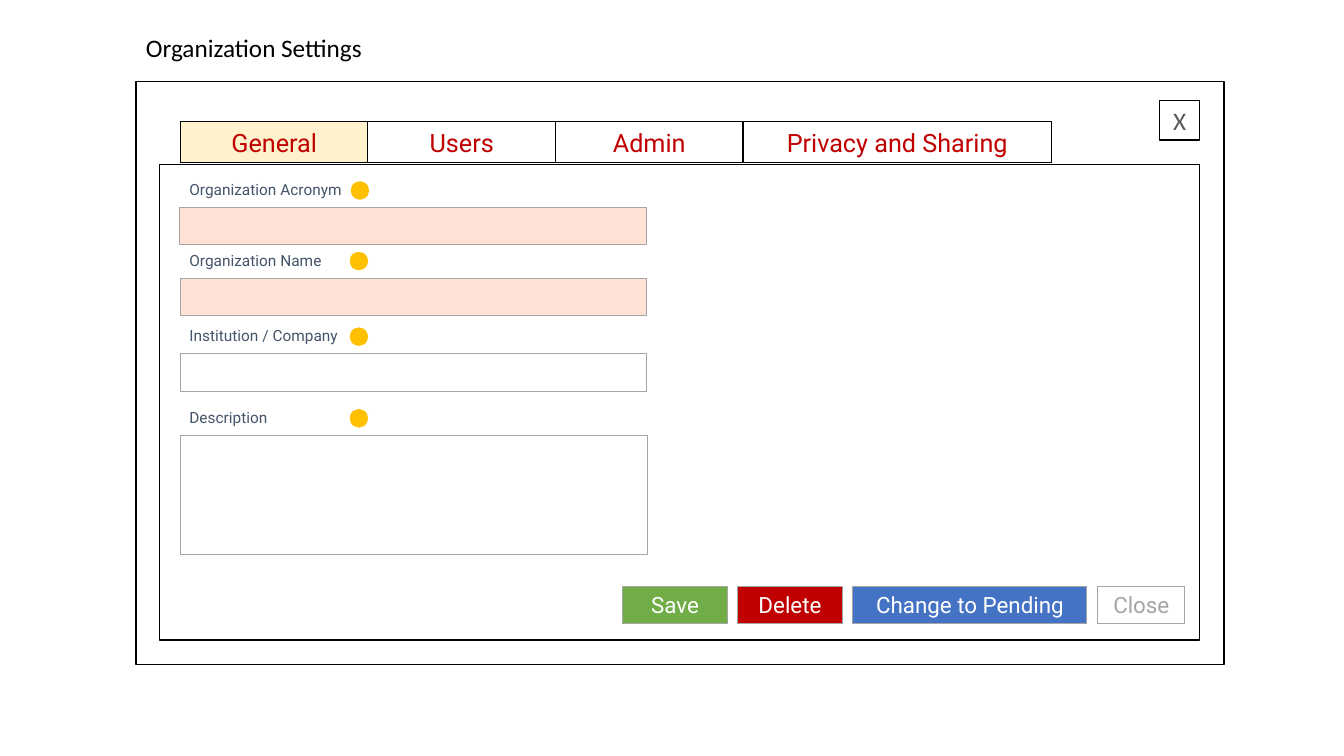
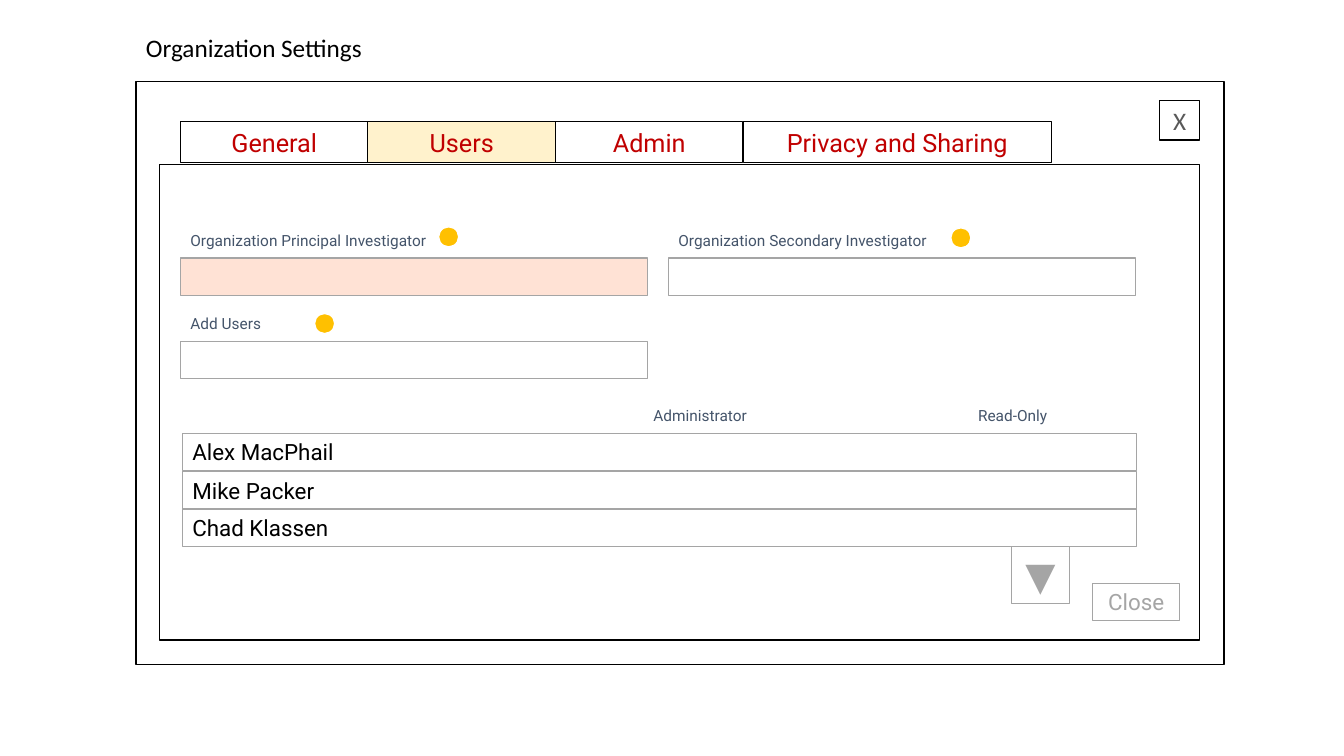
from pptx import Presentation
from pptx import util as u
from pptx.dml.color import RGBColor
from pptx.enum import shapes, text

PX = 9144  # EMU per px, 100 px to the inch

BLACK, WHITE = "000000", "FFFFFF"
GRAY, DARK_GRAY, SLATE = "A5A5A5", "595959", "44546A"
RED, GREEN, BLUE, AMBER = "C00000", "70AD47", "4472C4", "FFC000"
ACTIVE_TAB, REQUIRED = "FFF2CC", "FFE2D5"

FONT, TITLE_FONT = "Roboto", "Calibri"
LEFT, CENTER = text.PP_ALIGN.LEFT, text.PP_ALIGN.CENTER
TOP, MIDDLE = text.MSO_ANCHOR.TOP, text.MSO_ANCHOR.MIDDLE
RECTANGLE, OVAL = shapes.MSO_SHAPE.RECTANGLE, shapes.MSO_SHAPE.OVAL

TABS = [("General", 186), ("Users", 186), ("Admin", 186),
        ("Privacy and Sharing", 306)]
ROW_HEIGHT = 37
LABEL_HEIGHT = 29
LABEL_RISE = 32  # from the top of a label to the top of its input


def color(value):
    return RGBColor.from_string(value)


def box_emu(*lengths):
    return [u.Emu(length * PX) for length in lengths]


def write(shape, wording, size, ink, align=LEFT, anchor=TOP, font=FONT):
    frame = shape.text_frame
    frame.word_wrap = True
    frame.vertical_anchor = anchor
    paragraph = frame.paragraphs[0]
    paragraph.alignment = align
    run = paragraph.add_run()
    run.text = wording
    run.font.name = font
    run.font.size = u.Pt(size)
    run.font.color.rgb = color(ink)


def add_shape(parent, box, fill=None, line=GRAY, weight=0.75, kind=RECTANGLE):
    shape = parent.add_shape(kind, *box_emu(*box))
    shape.shadow.inherit = False
    if fill:
        shape.fill.solid()
        shape.fill.fore_color.rgb = color(fill)
    else:
        shape.fill.background()
    shape.line.color.rgb = color(line)
    shape.line.width = u.Pt(weight)
    return shape


def add_label(parent, box, wording, size=11, ink=SLATE, align=LEFT, font=FONT):
    label = parent.add_textbox(*box_emu(*box))
    write(label, wording, size, ink, align, font=font)


def add_button(slide, left, top, width, wording, fill=None, ink=WHITE):
    button = add_shape(slide.shapes, (left, top, width, ROW_HEIGHT), fill)
    write(button, wording, 16, ink, CENTER)


def add_field(slide, wording, label_at, box, dot_at, fill=None, label_width=267):
    """Group a label, its help dot and its input box."""
    group = slide.shapes.add_group_shape().shapes
    add_shape(group, box, fill)
    add_label(group, (*label_at, label_width, LABEL_HEIGHT), wording)
    add_shape(group, (*dot_at, 20, 20), AMBER, WHITE, 1, OVAL)


def add_dialog(presentation, active_tab):
    """Start a slide with the window, its title, tabs and close box."""
    slide = presentation.slides.add_slide(presentation.slide_layouts[6])
    add_label(slide.shapes, (135, 27, 664, 40), "Organization Settings",
              18, BLACK, font=TITLE_FONT)
    for box in ((135, 81, 1079, 578), (158, 163, 1032, 472)):
        add_shape(slide.shapes, box, line=BLACK, weight=1)
    left = 179
    for name, width in TABS:
        fill = ACTIVE_TAB if name == active_tab else None
        tab = add_shape(slide.shapes, (left, 121, width, 40), fill, BLACK)
        write(tab, name, 18, RED, CENTER, MIDDLE)
        left += width
    close_box = add_shape(slide.shapes, (1150, 100, 40, 39), line=BLACK, weight=1)
    write(close_box, "X", 18, DARK_GRAY, CENTER, MIDDLE, TITLE_FONT)
    return slide


def build_general(presentation):
    slide = add_dialog(presentation, "General")
    # Fields: label, label top, input left, width and height, dot left, fill
    for name, top, left, width, height, dot, fill in (
            ("Organization Acronym", 174, 178, 463, ROW_HEIGHT, 347, REQUIRED),
            ("Organization Name", 244, 179, 462, ROW_HEIGHT, 346, REQUIRED),
            ("Institution / Company", 319, 179, 462, ROW_HEIGHT, 346, None),
            ("Description", 400, 179, 463, 118, 346, None)):
        add_field(slide, name, (178, top), (left, top + LABEL_RISE, width, height),
                  (dot, top + 5), fill)
    # Action buttons
    for left, width, name, fill, ink in (
            (617, 105, "Save", GREEN, WHITE),
            (731, 105, "Delete", RED, WHITE),
            (846, 232, "Change to Pending", BLUE, WHITE),
            (1089, 86, "Close", None, GRAY)):
        add_button(slide, left, 582, width, name, fill, ink)


def build_users(presentation):
    slide = add_dialog(presentation, "Users")
    # Fields: label, left, label top, dot position, fill, label width
    for name, left, top, dot_at, fill, label_width in (
            ("Organization Principal Investigator", 179, 224, (435, 225), REQUIRED, 267),
            ("Organization Secondary Investigator", 663, 224, (943, 226), None, 270),
            ("Add Users", 179, 307, (312, 311), None, 267)):
        add_field(slide, name, (left, top), (left, top + LABEL_RISE, 463, ROW_HEIGHT),
                  dot_at, fill, label_width)
    # User list with its column headings
    for left, heading in ((633, "Administrator"), (943, "Read-Only")):
        add_label(slide.shapes, (left, 398, 123, LABEL_HEIGHT), heading, align=CENTER)
    for top, name in zip((430, 468, 505),
                         ("Alex MacPhail", "Mike Packer", "Chad Klassen")):
        row = add_shape(slide.shapes, (181, top, 946, ROW_HEIGHT))
        write(row, name, 16, BLACK)
    # Scroll arrow and close button
    arrow = add_shape(slide.shapes, (1003, 542, 58, 57))
    write(arrow, "▼", 28, GRAY, CENTER)
    add_button(slide, 1084, 579, 86, "Close", ink=GRAY)


def main():
    presentation = Presentation()
    presentation.slide_width, presentation.slide_height = box_emu(1333, 750)
    build_general(presentation)
    build_users(presentation)
    presentation.save("out.pptx")


if __name__ == "__main__":
    main()
